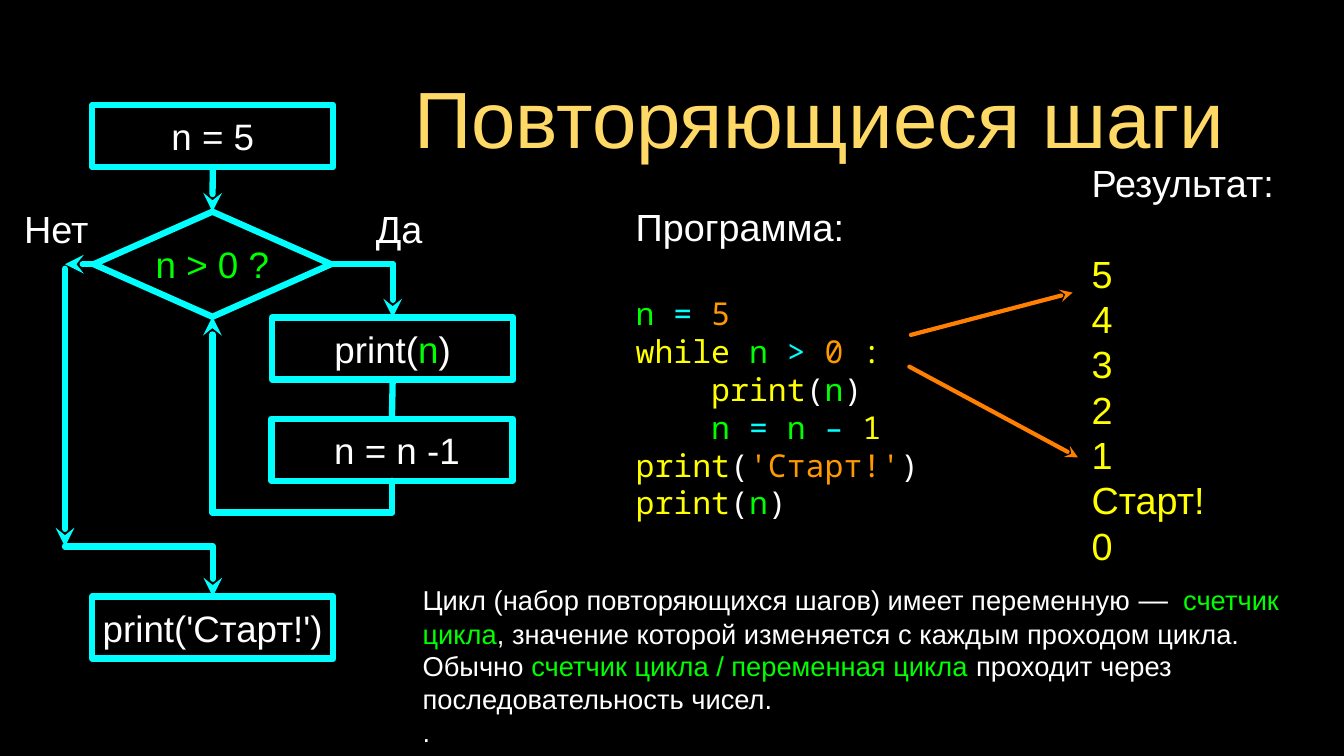
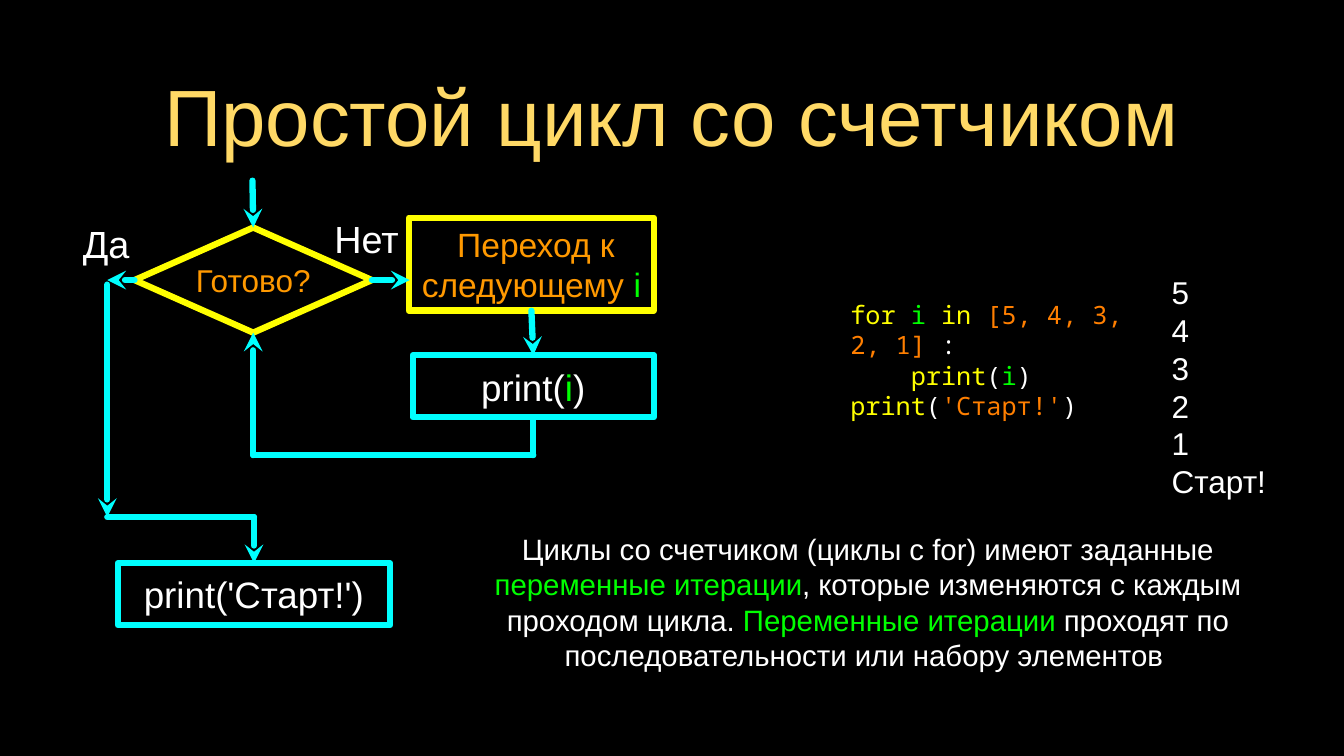
from lxml.etree import SubElement
from pptx import Presentation
from pptx.dml.color import RGBColor
from pptx.enum.shapes import MSO_CONNECTOR as LINE, MSO_SHAPE as SHAPE
from pptx.enum.text import MSO_ANCHOR as ANCHOR, MSO_AUTO_SIZE as AUTO, PP_ALIGN as ALIGN
from pptx.oxml.ns import qn
from pptx.util import Inches, Pt

SANS, MONO = "Arial", "Noto Sans Mono"
BLACK, WHITE, GOLD = "000000", "FFFFFF", "FFD966"
CYAN, GREEN, YELLOW = "00FFFF", "00FF00", "FFFF00"
AMBER, ORANGE = "FF9900", "FF7F00"
LEADING = 1.2
BOX_W, BOX_H = 3.19, 0.82
FINISH = [("print('Старт!')", WHITE)]


def paint(target, color):
    """Give a fill or font colour a hex value."""
    target.rgb = RGBColor.from_string(color)


def write(frame, paragraphs, size, font=SANS, align=ALIGN.LEFT, margin=0.0):
    """Write paragraphs of (text, colour) runs into a middle-anchored frame."""
    frame.word_wrap = True
    frame.auto_size = AUTO.NONE
    frame.vertical_anchor = ANCHOR.MIDDLE
    frame.margin_left = frame.margin_right = Inches(margin)
    frame.margin_top = frame.margin_bottom = Inches(margin)
    for index, runs in enumerate(paragraphs):
        line = frame.add_paragraph() if index else frame.paragraphs[0]
        line.alignment = align
        line.line_spacing = Pt(size * LEADING)
        for words, color in runs:
            run = line.add_run()
            run.text = words
            run.font.name = font
            run.font.size = Pt(size)
            paint(run.font.color, color)


def add_text(slide, box, paragraphs, size, font=SANS, align=ALIGN.LEFT):
    """Add a text box and return its frame."""
    frame = slide.shapes.add_textbox(*map(Inches, box)).text_frame
    write(frame, paragraphs, size, font, align)
    return frame


def add_node(slide, kind, box, runs, size=35, outline=CYAN):
    """Add an outlined flowchart node with centred text."""
    node = slide.shapes.add_shape(kind, *map(Inches, box))
    node.shadow.inherit = False
    node.fill.background()
    paint(node.line.color, outline)
    node.line.width = Pt(6)
    write(node.text_frame, [runs], size, align=ALIGN.CENTER)
    return node


def side(node, site):
    """Return the middle of a node's side in inches."""
    dx, dy = [(0.5, 0), (0, 0.5), (0.5, 1), (1, 0.5)][site]
    return (node.left + node.width * dx) / Inches(1), (node.top + node.height * dy) / Inches(1)


def wire(slide, start, end, arrow=False, color=CYAN, width=6):
    """Draw a line between points or (node, site) pairs."""
    ends = [side(*e) if hasattr(e[0], "shape_id") else e for e in (start, end)]
    link = slide.shapes.add_connector(LINE.STRAIGHT, *(Inches(v) for e in ends for v in e))
    if hasattr(start[0], "shape_id"):
        link.begin_connect(*start)
    if hasattr(end[0], "shape_id"):
        link.end_connect(*end)
    paint(link.line.color, color)
    link.line.width = Pt(width)
    stroke = link.line._get_or_add_ln()
    stroke.set("cap", "rnd")
    if arrow:
        SubElement(stroke, qn("a:tailEnd"), type="stealth")
    SubElement(link._element.spPr, qn("a:effectLst"))


def exit_branch(slide, test, finish, x, y):
    """Lead from the test's left side down and across to the final node."""
    test_y = side(test, 1)[1]
    finish_x = side(finish, 0)[0]
    wire(slide, (test, 1), (x, test_y), True)
    wire(slide, (x, test_y + 0.06), (x, y), True)
    wire(slide, (x, y), (finish_x, y))
    wire(slide, (finish_x, y), (finish, 0), True)


def return_branch(slide, last, test, y):
    """Lead from the last step back up to the test."""
    last_x, test_x = side(last, 2)[0], side(test, 2)[0]
    wire(slide, (last, 2), (last_x, y))
    wire(slide, (last_x, y), (test_x, y))
    wire(slide, (test_x, y), (test, 2), True)


def add_label(slide, box, word):
    """Add a branch label."""
    add_text(slide, box, [[(word, WHITE)]], 36, align=ALIGN.CENTER)


def while_flow(slide, left, top):
    """Draw the flowchart of the counting-down loop."""
    start = add_node(slide, SHAPE.RECTANGLE, (left + 1, top, BOX_W, BOX_H), [("n = 5", WHITE)])
    test = add_node(slide, SHAPE.DIAMOND, (left + 1.02, top + 1.41, 3.14, 1.39), [("n > 0 ?", GREEN)])
    show = add_node(slide, SHAPE.RECTANGLE, (left + 3.38, top + 2.81, BOX_W, BOX_H),
                    [("print(", WHITE), ("n", GREEN), (")", WHITE)])
    step = add_node(slide, SHAPE.RECTANGLE, (left + 3.37, top + 4.15, BOX_W, BOX_H), [(" n = n -1", WHITE)])
    finish = add_node(slide, SHAPE.RECTANGLE, (left + 1, top + 6.5, BOX_W, BOX_H), FINISH)
    add_label(slide, (left + 0.06, top + 1.29, 0.93, 0.68), "Нет")
    add_label(slide, (left + 4.56, top + 1.29, 1, 0.68), "Да")
    corner = side(show, 0)[0], side(test, 3)[1]
    wire(slide, (start, 2), (test, 0), True)
    wire(slide, (test, 3), corner)
    wire(slide, corner, (show, 0), True)
    wire(slide, (show, 2), (step, 0))
    return_branch(slide, step, test, top + 5.39)
    exit_branch(slide, test, finish, left + 0.64, top + 5.84)


def for_flow(slide, left, top):
    """Draw the flowchart of the loop over a list."""
    test = add_node(slide, SHAPE.DIAMOND, (left + 1.02, top + 0.62, 3.14, 1.39),
                    [("Готово?", AMBER)], 30, YELLOW)
    advance = add_node(slide, SHAPE.RECTANGLE, (left + 4.65, top + 0.49, 3.24, 1.23),
                       [(" Переход к следующему ", AMBER), ("i", GREEN)], 32, YELLOW)
    show = add_node(slide, SHAPE.RECTANGLE, (left + 4.7, top + 2.31, BOX_W, BOX_H),
                    [("print(", WHITE), ("i", GREEN), (")", WHITE)])
    finish = add_node(slide, SHAPE.RECTANGLE, (left + 0.8, top + 5.06, 3.6, BOX_H), FINISH)
    add_label(slide, (left, top + 0.49, 1.29, 0.68), "Да")
    add_label(slide, (left + 3.6, top + 0.42, 0.98, 0.68), "Нет")
    wire(slide, (left + 2.58, top), (test, 0), True)
    wire(slide, (test, 3), (left + 4.66, side(test, 3)[1]), True)
    wire(slide, (advance, 2), (show, 0), True)
    return_branch(slide, show, test, top + 3.63)
    exit_branch(slide, test, finish, left + 0.66, top + 4.45)


def while_program(slide, box):
    """Show the code of the counting-down loop under its heading."""
    frame = add_text(slide, box, [
        [("Программа:", WHITE)],
        [("n ", GREEN), ("= ", CYAN), ("5", AMBER)],
        [("while ", YELLOW), ("n ", GREEN), ("> ", CYAN), ("0", AMBER), (" :", YELLOW)],
        [("    print", YELLOW), ("(", WHITE), ("n", GREEN), (")", WHITE)],
        [("    n ", GREEN), ("= ", CYAN), ("n ", GREEN), ("–", CYAN), (" 1", YELLOW)],
        [("print", YELLOW), ("(", WHITE), ("'Старт!'", AMBER), (")", WHITE)],
        [("print", YELLOW), ("(", WHITE), ("n", GREEN), (")", WHITE)],
    ], 30, MONO)
    heading = frame.paragraphs[0]
    heading.line_spacing = heading.space_after = Pt(36 * LEADING)
    heading.runs[0].font.name = SANS
    heading.runs[0].font.size = Pt(36)


def while_output(slide, box):
    """Show the printed lines under their heading."""
    printed = [[(line, YELLOW)] for line in ("5", "4", "3", "2", "1", "Старт!", "0")]
    frame = add_text(slide, box, [[("Результат:", WHITE)]] + printed, 36)
    frame.paragraphs[0].space_after = Pt(36 * LEADING)


def while_note(slide, box):
    """Explain the loop variable."""
    frame = add_text(slide, box, [
        [("Цикл (набор повторяющихся шагов) имеет переменную ", WHITE), ("—", WHITE),
         ("  ", WHITE), ("счетчик цикла", GREEN),
         (", значение которой изменяется с каждым проходом цикла. Обычно ", WHITE),
         ("счетчик цикла / переменная цикла ", GREEN),
         ("проходит через последовательность чисел.", WHITE)],
        [(".", WHITE)],
    ], 26)
    frame.paragraphs[0].runs[1].font.size = Pt(28)


def for_program(slide, box):
    """Show the code of the loop over a list."""
    add_text(slide, box, [
        [("for ", YELLOW), ("i ", GREEN), ("in ", YELLOW), ("[5, 4, 3, 2, 1] ", ORANGE), (":", WHITE)],
        [("    print", YELLOW), ("(", WHITE), ("i", GREEN), (")", WHITE)],
        [("print", YELLOW), ("(", WHITE), ("'Старт!'", ORANGE), (")", WHITE)],
    ], 24, MONO)


def for_output(slide, box):
    """Show the printed lines of the loop over a list."""
    add_text(slide, box, [[(line, WHITE)] for line in ("5", "4", "3", "2", "1", "Старт!")], 30)


def for_note(slide, box):
    """Explain the iteration variable."""
    add_text(slide, box, [[
        ("Циклы со счетчиком (циклы с for) имеют заданные ", WHITE), ("переменные итерации", GREEN),
        (", которые изменяются с каждым проходом цикла. ", WHITE), ("Переменные итерации ", GREEN),
        ("проходят по последовательности или набору элементов ", WHITE),
    ]], 28, align=ALIGN.CENTER)


def add_titled_slide(deck, title, box):
    """Add a slide with its formatted title."""
    slide = deck.slides.add_slide(deck.slide_layouts[5])
    heading = slide.shapes.title
    heading.left, heading.top, heading.width, heading.height = map(Inches, box)
    write(heading.text_frame, [[(title, GOLD)]], 76, align=ALIGN.CENTER, margin=0.04)
    return slide


def while_slide(deck):
    """Build the slide on repeated steps."""
    slide = add_titled_slide(deck, "Повторяющиеся шаги", (5.18, 0.89, 11.32, 1.31))
    while_program(slide, (8.41, 2.37, 4.63, 4.85))
    while_flow(slide, 0.22, 1.39)
    while_output(slide, (14.44, 2.19, 2.54, 5.24))
    while_note(slide, (5.59, 7.89, 11.61, 1.84))
    wire(slide, (12.05, 4.43), (14.19, 3.87), True, ORANGE, 4)
    wire(slide, (12.03, 4.85), (14.26, 6.05), True, ORANGE, 4)


def for_slide(deck):
    """Build the slide on the simple counted loop."""
    slide = add_titled_slide(deck, "Простой цикл со счетчиком", (1.26, 0.89, 15.24, 1.24))
    for_program(slide, (11.25, 3.85, 3.94, 1.82))
    for_output(slide, (15.5, 3.35, 1.82, 3.53))
    for_flow(slide, 0.76, 2.39)
    for_note(slide, (5.94, 7.05, 11.08, 1.82))


def main():
    """Build and save the deck."""
    deck = Presentation()
    deck.slide_width, deck.slide_height = Inches(17.78), Inches(10)
    backdrop = deck.slide_master.background.fill
    backdrop.solid()
    paint(backdrop.fore_color, BLACK)
    while_slide(deck)
    for_slide(deck)
    deck.save("out.pptx")


if __name__ == "__main__":
    main()
